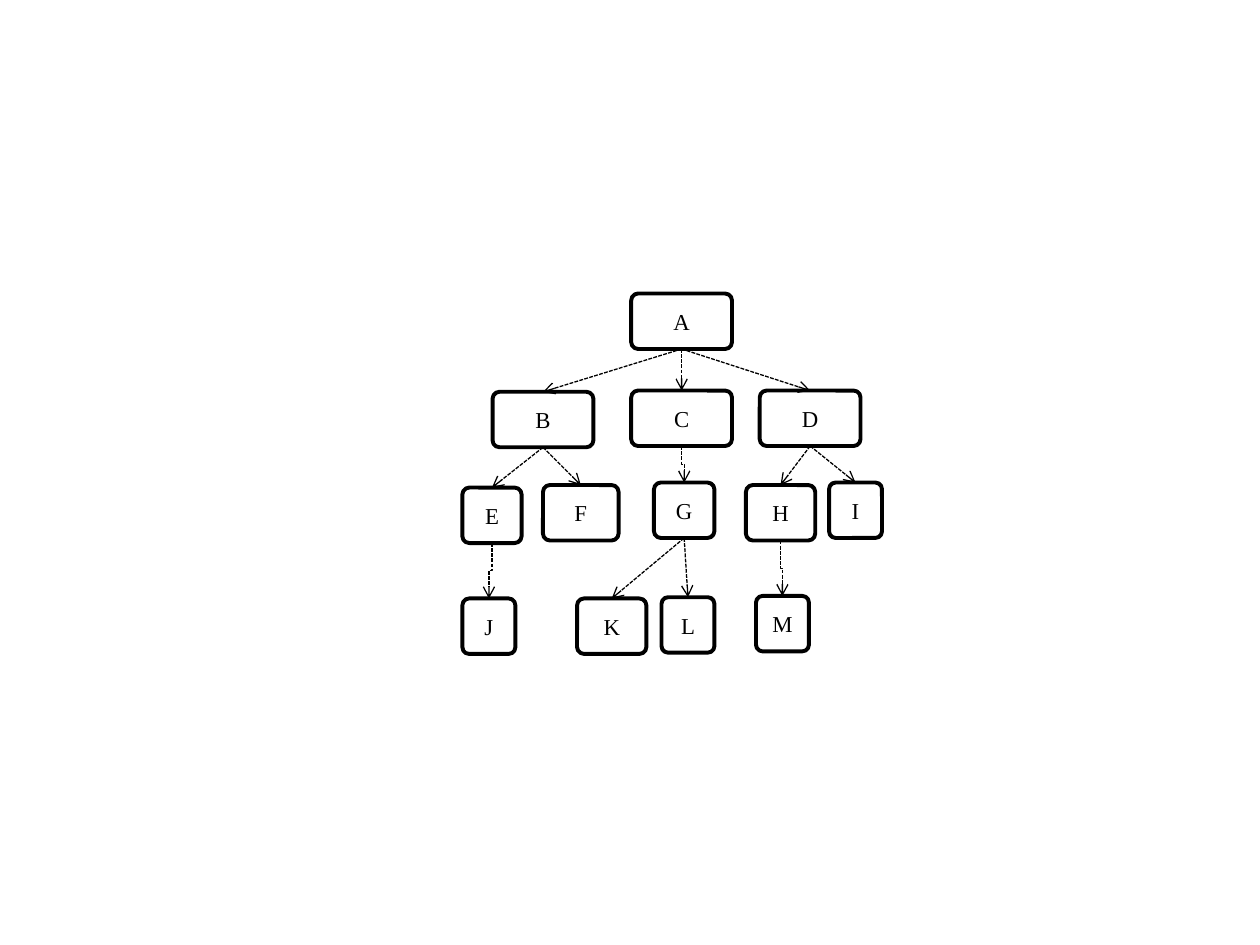
from dataclasses import dataclass

from lxml import etree
from pptx import Presentation
from pptx.dml import color
from pptx.enum import dml, shapes, text
from pptx.oxml import ns
from pptx.util import Inches, Pt


@dataclass(frozen=True)
class Theme:
    ink: color.RGBColor = color.RGBColor(0, 0, 0)
    face: str = "Times New Roman"
    size: Pt = Pt(13)
    edge: Pt = Pt(2.25)
    thin: Pt = Pt(0.75)
    curve: float = 0.125


THEME = Theme()
WIDE, HIGH = Inches(10), Inches(7.5)
COL, ROW = WIDE // 1000, HIGH // 750
TALL = 44
TREE = (367, 233)

NODES = {
    "A": (134, 0, 80),
    "B": (24, 78, 80),
    "C": (134, 77, 80),
    "D": (236, 77, 80),
    "E": (0, 154, 47),
    "F": (64, 152, 60),
    "G": (152, 150, 48),
    "H": (225, 152, 55),
    "I": (291, 150, 42),
    "J": (0, 242, 42),
    "K": (91, 242, 55),
    "L": (158, 241, 42),
    "M": (233, 240, 42),
}
LINKS = {"A": "BCD", "B": "EF", "C": "G", "D": "HI", "E": "J", "G": "KL", "H": "M"}
BENT = {"CG", "EJ", "HM"}


def apply(item, values):
    for name, value in values.items():
        setattr(item, name, value)


def ink(line, width):
    line.color.rgb = THEME.ink
    line.width = width


def node(slide, label, left, top, width):
    box = slide.shapes.add_shape(
        shapes.MSO_SHAPE.ROUNDED_RECTANGLE,
        left * COL, top * ROW, width * COL, TALL * ROW,
    )
    box.adjustments[0] = THEME.curve
    box.shadow.inherit = False
    box.fill.background()
    ink(box.line, THEME.edge)
    frame = box.text_frame
    apply(frame, {"word_wrap": False, "vertical_anchor": text.MSO_ANCHOR.MIDDLE})
    para = frame.paragraphs[0]
    para.alignment = text.PP_ALIGN.CENTER
    run = para.add_run()
    run.text = label
    apply(run.font, {"name": THEME.face, "size": THEME.size})
    run.font.color.rgb = THEME.ink
    return box


def turn(line):
    across, down = line.end_x - line.begin_x, line.end_y - line.begin_y
    mid_x = (line.begin_x + line.end_x) // 2
    mid_y = (line.begin_y + line.end_y) // 2
    frame = line._element.spPr.xfrm
    frame.flipH = across > 0
    frame.set("rot", "16200000" if across > 0 else "5400000")
    apply(line, {
        "left": mid_x - down // 2,
        "top": mid_y - abs(across) // 2,
        "width": down,
        "height": abs(across),
    })


def link(slide, start, end, bent):
    kind = shapes.MSO_CONNECTOR.ELBOW if bent else shapes.MSO_CONNECTOR.STRAIGHT
    line = slide.shapes.add_connector(kind, 0, 0, 0, 0)
    line.begin_connect(start, 2)
    line.end_connect(end, 0)
    if bent:
        turn(line)
    ink(line.line, THEME.thin)
    line.line.dash_style = dml.MSO_LINE.SQUARE_DOT
    props = line._element.spPr
    etree.SubElement(props.find(ns.qn("a:ln")), ns.qn("a:tailEnd"), type="arrow")
    etree.SubElement(props, ns.qn("a:effectLst"))


def tree(slide, left, top):
    boxes = {
        label: node(slide, label, left + x, top + y, width)
        for label, (x, y, width) in NODES.items()
    }
    for start, ends in LINKS.items():
        for end in ends:
            link(slide, boxes[start], boxes[end], start + end in BENT)


def main():
    deck = Presentation()
    apply(deck, {"slide_width": WIDE, "slide_height": HIGH})
    slide = deck.slides.add_slide(deck.slide_layouts[6])
    tree(slide, *TREE)
    deck.save("out.pptx")


if __name__ == "__main__":
    main()
